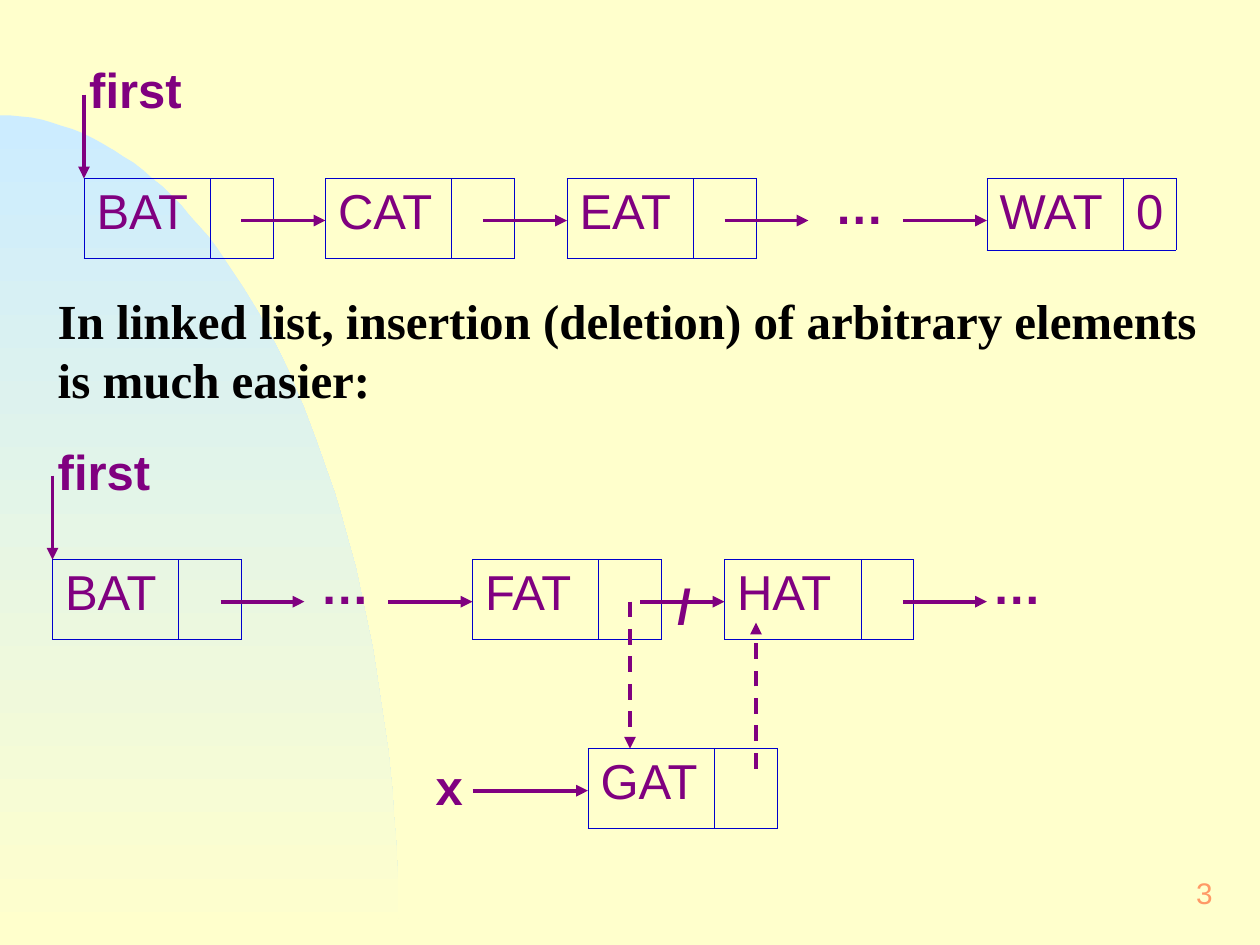
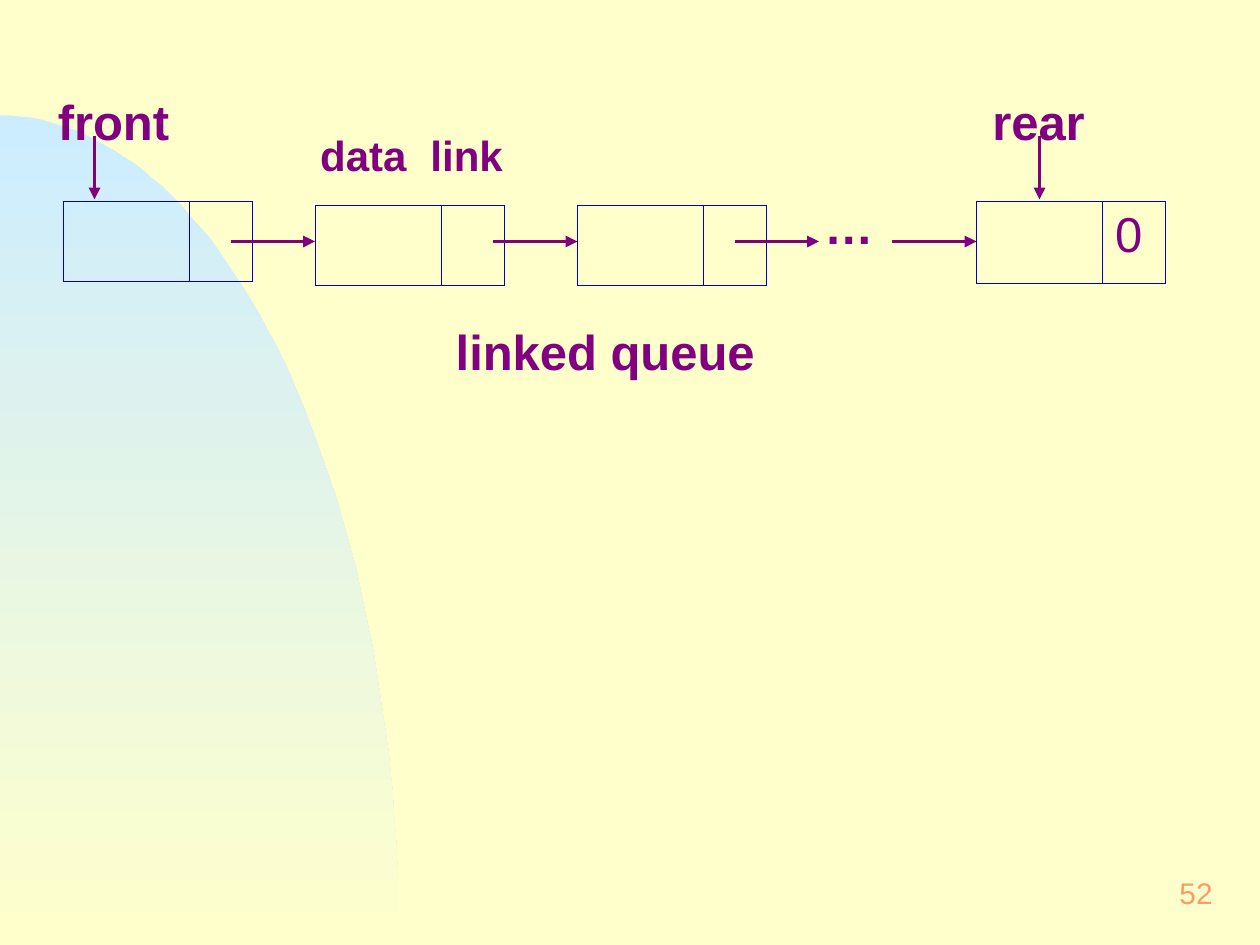
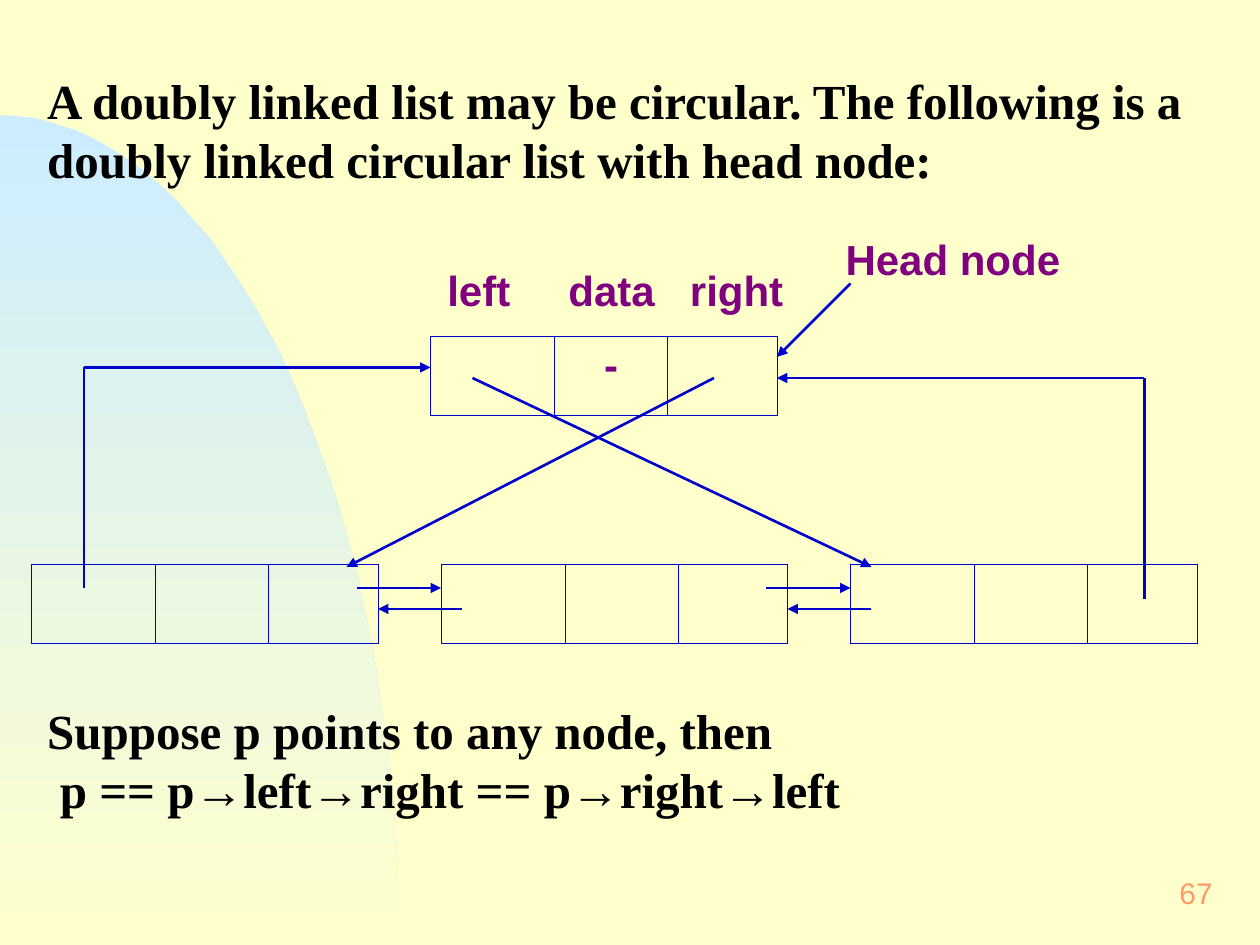
from dataclasses import dataclass
from math import cos, pi, sin

from lxml import etree
from pptx import Presentation
from pptx.dml.color import RGBColor
from pptx.enum.dml import MSO_LINE
from pptx.enum.shapes import MSO_CONNECTOR
from pptx.enum.text import MSO_ANCHOR, PP_ALIGN
from pptx.oxml.ns import qn
from pptx.presentation import Presentation as Deck
from pptx.slide import Slide
from pptx.text.text import _Paragraph as Para
from pptx.util import Emu, Pt

STRAIGHT = MSO_CONNECTOR.STRAIGHT
DASH = MSO_LINE.DASH
LEFT, MID, RIGHT = PP_ALIGN.LEFT, PP_ALIGN.CENTER, PP_ALIGN.RIGHT
TOP, MIDDLE = MSO_ANCHOR.TOP, MSO_ANCHOR.MIDDLE

CREAM = RGBColor(0xFF, 0xFF, 0xCC)
SKY = RGBColor(0xCC, 0xEC, 0xFF)
PLUM = RGBColor(0x80, 0x00, 0x80)
BLUE = RGBColor(0x00, 0x00, 0xCC)
INK = RGBColor(0x01, 0x00, 0x00)
PEACH = RGBColor(0xFF, 0x99, 0x66)

SCALE = 7620
WIDE, HIGH = 1200, 900
BLANK = 6
STEPS = 60
HOP = 80
TALL = 76


@dataclass(frozen=True)
class Font:
    size: int
    name: str = "Arial"
    color: RGBColor = PLUM
    bold: bool = True


BODY = Font(28, "Times New Roman", INK)
LABEL = Font(28)
SMALL = Font(24)
DATA = Font(28, bold=False)
PAGE = Font(17, color=PEACH, bold=False)


@dataclass(frozen=True)
class Line:
    text: str
    indent: int = 0
    tab: int = 0


@dataclass(frozen=True)
class Text:
    x: int
    y: int
    w: int
    h: int
    lines: tuple[Line, ...]
    font: Font = LABEL
    align: int = LEFT
    anchor: int = TOP
    wrap: bool = True


@dataclass(frozen=True)
class Node:
    x: int
    y: int
    words: tuple[str, ...] = ("", "")
    cols: tuple[int, ...] = (120, 60)
    h: int = TALL
    font: Font = DATA
    align: int = LEFT
    frame: bool = True


@dataclass(frozen=True)
class Arrow:
    x: int
    y: int
    to_x: int
    to_y: int
    color: RGBColor = PLUM
    width: float = 2.25
    tip: bool = True
    dash: bool = False


def px(size: int) -> Emu:
    return Emu(size * SCALE)


def add_run(para: Para, text: str, font: Font) -> None:
    run = para.add_run()
    run.text = text
    run.font.name = font.name
    run.font.size = Pt(font.size)
    run.font.bold = font.bold
    run.font.color.rgb = font.color


def draw_text(slide: Slide, item: Text) -> None:
    box = slide.shapes.add_textbox(px(item.x), px(item.y), px(item.w), px(item.h))
    frame = box.text_frame
    frame.word_wrap = item.wrap
    frame.vertical_anchor = item.anchor
    frame.margin_left = frame.margin_right = px(15)
    frame.margin_top = frame.margin_bottom = px(7)
    for i, line in enumerate(item.lines):
        para = frame.add_paragraph() if i else frame.paragraphs[0]
        para.alignment = item.align
        props = para._p.get_or_add_pPr()
        if line.indent:
            props.set("marL", str(px(line.indent)))
        if line.tab:
            tabs = etree.SubElement(props, qn("a:tabLst"))
            etree.SubElement(tabs, qn("a:tab"), pos=str(px(line.tab)), algn="l")
        add_run(para, line.text, item.font)


def draw_node(slide: Slide, node: Node) -> None:
    table = slide.shapes.add_table(
        1, len(node.cols), px(node.x), px(node.y), px(sum(node.cols)), px(node.h)
    ).table
    table.first_row = table.horz_banding = False
    for i, (word, width) in enumerate(zip(node.words, node.cols)):
        table.columns[i].width = px(width)
        cell = table.cell(0, i)
        props = cell._tc.get_or_add_tcPr()
        for side in ("a:lnL", "a:lnR", "a:lnT", "a:lnB"):
            edge = etree.SubElement(props, qn(side), w=str(Pt(0.45)))
            if node.frame:
                fill = etree.SubElement(edge, qn("a:solidFill"))
                etree.SubElement(fill, qn("a:srgbClr"), val=str(BLUE))
            else:
                etree.SubElement(edge, qn("a:noFill"))
        cell.fill.background()
        if word:
            para = cell.text_frame.paragraphs[0]
            para.alignment = node.align
            add_run(para, word, node.font)


def draw_arrow(slide: Slide, arrow: Arrow) -> None:
    link = slide.shapes.add_connector(
        STRAIGHT, px(arrow.x), px(arrow.y), px(arrow.to_x), px(arrow.to_y)
    )
    link.line.color.rgb = arrow.color
    link.line.width = Pt(arrow.width)
    if arrow.dash:
        link.line.dash_style = DASH
    props = link.element.spPr
    if arrow.tip:
        etree.SubElement(props.find(qn("a:ln")), qn("a:tailEnd"), type="triangle")
    etree.SubElement(props, qn("a:effectLst"))


def draw_arc(slide: Slide) -> None:
    turns = [pi / 2 * i / STEPS for i in range(STEPS + 1)]
    curve = [(380 * sin(t), HIGH - 790 * cos(t)) for t in turns]
    pen = slide.shapes.build_freeform(0, HIGH, SCALE)
    pen.add_line_segments(curve, close=True)
    arc = pen.convert_to_shape()
    arc.shadow.inherit = False
    arc.line.fill.background()
    arc.fill.gradient()
    arc.fill.gradient_angle = 270
    for stop, color, place in zip(arc.fill.gradient_stops, (SKY, CREAM), (0, 1)):
        stop.color.rgb = color
        stop.position = place


DRAW = {Text: draw_text, Node: draw_node, Arrow: draw_arrow}


def add_slide(deck: Deck, page: int, items: list[Text | Node | Arrow]) -> None:
    slide = deck.slides.add_slide(deck.slide_layouts[BLANK])
    draw_arc(slide)
    number = Text(920, 820, 250, 60, (Line(str(page)),), PAGE, RIGHT, MIDDLE, False)
    for item in [number, *items]:
        DRAW[type(item)](slide, item)


def label(x: int, y: int, text: str, w: int = 80) -> Text:
    return Text(x, y, w, 71, (Line(text),))


def body(x: int, y: int, w: int, *lines: Line) -> Text:
    return Text(x, y, w, 127, lines, BODY)


def hops(y: int, *starts: int) -> list[Arrow]:
    return [Arrow(x, y, x + HOP, y) for x in starts]


def wire(x: int, y: int, to_x: int, to_y: int, tip: bool = True) -> Arrow:
    return Arrow(x, y, to_x, to_y, BLUE, 1.5, tip)


def triple(x: int, y: int, mark: str = "") -> Node:
    return Node(x, y, ("", mark, ""), (118, 108, 104), font=SMALL, align=MID)


def heads(x: int, y: int, words: tuple[str, ...], cols: tuple[int, ...]) -> Node:
    return Node(x, y, words, cols, 62, SMALL, MID, False)


def list_items() -> list[Text | Node | Arrow]:
    names = ("BAT", "CAT", "EAT")
    broad = (130, 50)
    return [
        body(40, 270, 1130, Line(
            "In linked list, insertion (deletion) of arbitrary elements is much easier:"
        )),
        *(Node(80 + 230 * i, 170, (name, "")) for i, name in enumerate(names)),
        Node(940, 170, ("WAT", "0"), broad, 68),
        Arrow(80, 90, 80, 170),
        *hops(210, 230, 460, 690, 860),
        label(780, 160, "…"),
        label(70, 50, "first", 130),
        Node(50, 533, ("BAT", "")),
        Node(450, 533, ("FAT", "")),
        Node(690, 533, ("HAT", ""), broad),
        Arrow(50, 453, 50, 533),
        *hops(573, 210, 370, 610, 860),
        label(290, 522, "…"),
        label(930, 522, "…"),
        label(40, 413, "first", 130),
        Node(560, 713, ("GAT", "")),
        Arrow(450, 753, 560, 753),
        label(400, 713, "x", 70),
        Arrow(600, 573, 600, 713, dash=True),
        Arrow(720, 732, 720, 593, dash=True),
        label(630, 541, "/"),
    ]


def queue_items() -> list[Text | Node | Arrow]:
    return [
        Node(60, 192),
        Node(300, 196),
        Node(550, 196),
        Node(930, 192, ("", "0"), h=78),
        label(40, 80, "front", 160),
        label(930, 80, "rear", 160),
        Text(290, 116, 230, 62, (Line("data\tlink", tab=105),), SMALL),
        label(770, 179, "…", 90),
        Text(30, 299, 1150, 71, (Line("linked queue", indent=389),)),
        *(Arrow(x, 130, x, 190) for x in (90, 990)),
        *hops(230, 220, 470, 700, 850),
    ]


def ring_items() -> list[Text | Node | Arrow]:
    gaps = (360, 750)
    return [
        body(30, 60, 1150, Line(
            "A doubly linked list may be circular. The following is a "
            "doubly linked circular list with head node:"
        )),
        triple(410, 320, "-"),
        *(triple(x, 537) for x in (30, 420, 810)),
        *(wire(x - 20, 560, x + 60, 560) for x in gaps),
        *(wire(x + 80, 580, x, 580) for x in gaps),
        wire(80, 560, 80, 350, False),
        wire(80, 350, 410, 350),
        wire(1090, 570, 1090, 360, False),
        wire(1090, 360, 740, 360),
        wire(680, 360, 330, 540),
        wire(450, 360, 830, 540),
        heads(390, 250, ("left", "data", "right"), (132, 121, 117)),
        wire(810, 270, 740, 340),
        heads(780, 220, ("Head node",), (255,)),
        body(
            30, 660, 1150,
            Line("Suppose p points to any node, then"),
            Line("p == p→left→right == p→right→left", indent=12),
        ),
    ]


def main() -> None:
    deck = Presentation()
    deck.slide_width, deck.slide_height = px(WIDE), px(HIGH)
    back = deck.slide_master.background.fill
    back.solid()
    back.fore_color.rgb = CREAM
    add_slide(deck, 3, list_items())
    add_slide(deck, 52, queue_items())
    add_slide(deck, 67, ring_items())
    deck.save("out.pptx")


if __name__ == "__main__":
    main()
